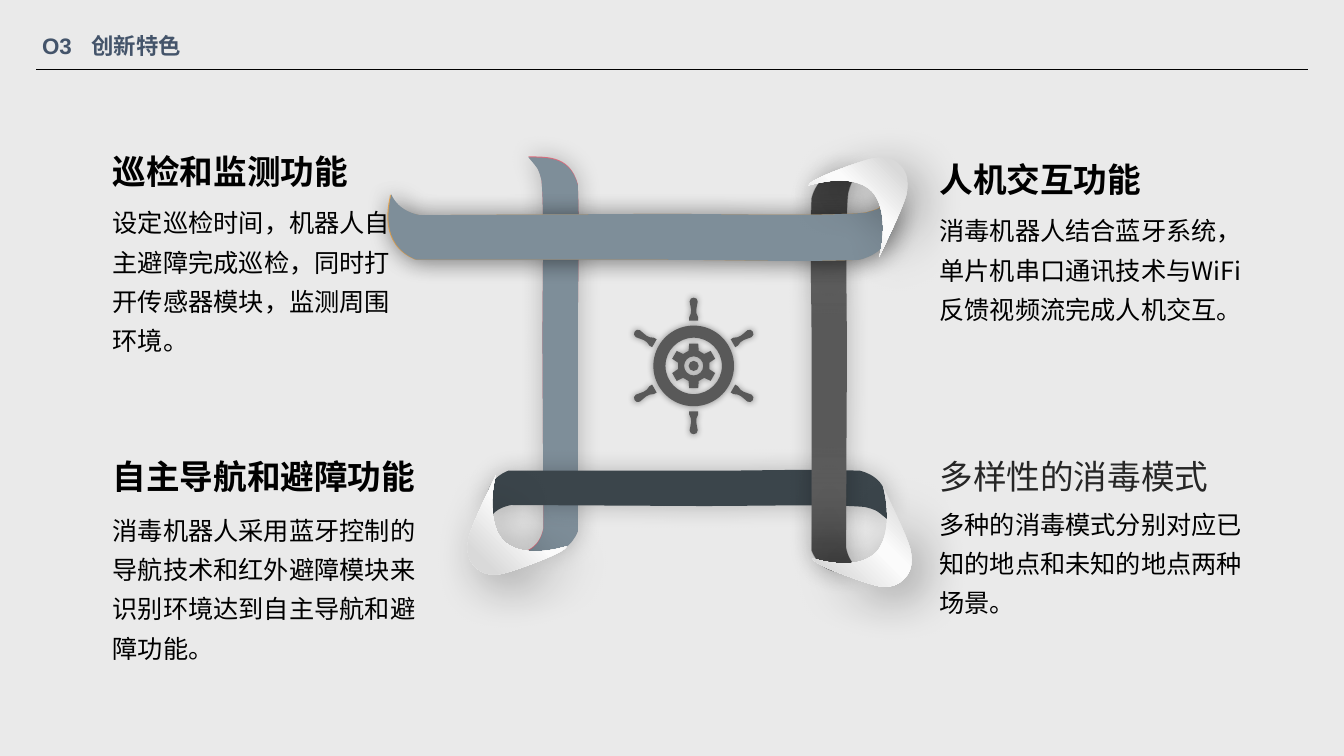
from math import cos, pi, sin

from lxml import etree
from pptx import Presentation
from pptx.dml.color import RGBColor
from pptx.enum.shapes import MSO_CONNECTOR
from pptx.oxml import parse_xml
from pptx.oxml.ns import nsdecls, qn
from pptx.util import Inches, Pt

STRAIGHT = MSO_CONNECTOR.STRAIGHT
PAPER = RGBColor(0xEA, 0xEA, 0xEA)
BLACK = RGBColor(0, 0, 0)
SOFT = RGBColor(0x26, 0x26, 0x26)
NAVY = RGBColor(0x44, 0x54, 0x6A)
STEEL = RGBColor(0x7E, 0x8E, 0x99)
SLATE = RGBColor(0x3B, 0x45, 0x4B)
GRAY = RGBColor(0x59, 0x59, 0x59)
ROSE = RGBColor(0xDC, 0x6C, 0x7C)
AMBER = RGBColor(0xF1, 0xAF, 0x59)

# Gradient stops: position, colour, opacity (percent)
SHEEN = [(10, "D9D9D9", 100), (42, "FBFBFB", 100), (51, "F8F8F8", 100), (87, "D9D9D9", 100)]
SHADE = [(0, "0D0D0D", 40), (12, "0D0D0D", 15), (36, "FBFBFB", 0),
         (69, "F8F8F8", 0), (92, "0D0D0D", 15), (100, "0D0D0D", 32)]

# Shadows: opacity (percent), blur, distance (points), angle
GLOW = (24, 17, 0, 0)
DROP = (32, 17, 3, 20)
DEEP = (40, 18, 0, 0)
CAST = (35, 35, 12, 45)
HALO = (40, 5, 0, 0)

# Outlines: one point is a start or line, three are a curve; (along, across)
RIBBON = [
    [(0, 0)],
    [(.13, .11), (.12, .10), (.23, .13)],
    [(.54, .16), (1.28, .14), (1.86, .14)],
    [(3.74, .15)],
    [(3.96, .11), (3.97, -.05), (3.97, 0)],
    [(3.98, .06), (4.07, .37), (3.77, .49)],
    [(1.85, .49)],
    [(1.27, .49), (.76, .51), (.28, .49)],
    [(-.03, .41), (.01, .15), (0, 0)],
]
CURL = [
    [(0, 0)],
    [(-.03, .15), (0, .23), (.06, .29)],
    [(.12, .35), (.19, .39), (.34, .36)],
    [(.49, .32), (.97, .15), (.97, .09)],
    [(.73, .16), (.48, .17), (.34, .03)],
    [(.21, -.11), (.21, -.40), (.27, -.62)],
    [(.22, -.51), (.04, -.15), (0, 0)],
]

# Wheel parts pointing up from the hub: (side, height)
HANDLE = [[(-.045, .45)], [(-.045, .48)], [(-.01, .54), (-.03, .57), (-.04, .64)],
          [(-.04, .69), (.04, .69), (.04, .64)], [(.03, .57), (.01, .54), (.045, .48)],
          [(.045, .45)]]
TOOTH = [[(-.05, .15)], [(-.045, .22)], [(.045, .22)], [(.05, .15)]]
CIRCLE = [[(0, 1)], [(.55, 1), (1, .55), (1, 0)], [(1, -.55), (.55, -1), (0, -1)],
          [(-.55, -1), (-1, -.55), (-1, 0)], [(-1, .55), (-.55, 1), (0, 1)]]

BLOCKS = [
    ((1.02, 1.45, 2.95), .47, "巡检和监测功能", True, BLACK,
     "设定巡检时间，机器人自主避障完成巡检，同时打开传感器模块，监测周围环境。"),
    ((9.22, 1.53, 3.33), .47, "人机交互功能", True, BLACK,
     "消毒机器人结合蓝牙系统，单片机串口通讯技术与WiFi反馈视频流完成人机交互。"),
    ((1.02, 4.47, 3.33), .5, "自主导航和避障功能", True, BLACK,
     "消毒机器人采用蓝牙控制的导航技术和红外避障模块来识别环境达到自主导航和避障功能。"),
    ((9.22, 4.47, 3.33), .44, "多样性的消毒模式", False, SOFT,
     "多种的消毒模式分别对应已知的地点和未知的地点两种场景。"),
]


def place(path, start, along, across):
    """Lay an outline out from its start along two direction vectors."""
    return [[tuple(Inches(start[i] + u * along[i] + v * across[i]) for i in (0, 1))
             for u, v in part] for part in path]


def bend(shape, loops):
    """Turn the straight segments of curved parts into cubic curves."""
    parts = [part for loop in loops for part in loop[1:]]
    for line, part in zip(list(shape._element.iter(qn("a:lnTo"))), parts):
        if len(part) == 3:
            spots = "".join(f'<a:pt x="{x - shape.left}" y="{y - shape.top}"/>' for x, y in part)
            line.getparent().replace(line, parse_xml(
                f'<a:cubicBezTo {nsdecls("a")}>{spots}</a:cubicBezTo>'))


def draw(slide, loops, shadow=None, color=None, stops=None, angle=0):
    """Draw closed loops as one filled freeform."""
    pen = slide.shapes.build_freeform(*loops[0][0][0], scale=1.0)
    for loop in loops:
        if loop is not loops[0]:
            pen.move_to(*loop[0][0])
        pen.add_line_segments([part[-1] for part in loop[1:]], close=True)
    shape = pen.convert_to_shape()
    bend(shape, loops)
    shape.shadow.inherit = False
    shape.line.fill.background()
    props = shape._element.spPr
    if stops:
        marks = "".join(
            f'<a:gs pos="{pos * 1000}"><a:srgbClr val="{tone}">'
            f'<a:alpha val="{alpha * 1000}"/></a:srgbClr></a:gs>' for pos, tone, alpha in stops)
        props.find(qn("a:ln")).addprevious(parse_xml(
            f'<a:gradFill {nsdecls("a")} rotWithShape="1"><a:gsLst>{marks}</a:gsLst>'
            f'<a:lin ang="{angle * 60000}" scaled="0"/></a:gradFill>'))
    else:
        shape.fill.solid()
        shape.fill.fore_color.rgb = color
    if shadow:
        alpha, blur, dist, turn = shadow
        props.find(qn("a:effectLst")).append(parse_xml(
            f'<a:outerShdw {nsdecls("a")} blurRad="{Pt(blur)}" dist="{Pt(dist)}" '
            f'dir="{turn * 60000}" algn="ctr" rotWithShape="0"><a:srgbClr val="000000">'
            f'<a:alpha val="{alpha * 1000}"/></a:srgbClr></a:outerShdw>'))


def add_frame(slide, x, y):
    """Four woven ribbons with three folded corners."""
    left = (0, .985), (1, 0)
    top = (-1.26, 0), (0, 1.3)
    draw(slide, [place(RIBBON, (x + 1.4, y), *left)], GLOW, ROSE)
    draw(slide, [place(RIBBON, (x + 1.4, y + .01), *left)], None, STEEL)
    draw(slide, [place(RIBBON, (x + 4.97, y + 3.61), (-1, 0), (0, -1))], GLOW, SLATE)
    right = [place(RIBBON, (x + 4.7, y + .14), (0, 1), (-1, 0))]
    draw(slide, right, GLOW, GRAY)
    draw(slide, right, DEEP, stops=SHADE, angle=90)
    draw(slide, [place(RIBBON, (x + 5.03, y + .39), *top)], GLOW, AMBER)
    draw(slide, [place(RIBBON, (x + 5.04, y + .39), *top)], DROP, STEEL)
    for dx, dy, flip, turn in ((.81, 3.78, 1, 1), (5.19, 3.9, -1, 1), (5.15, .38, -1, -1)):
        draw(slide, [place(CURL, (x + dx, y + dy), (flip, 0), (0, turn))],
             CAST, stops=SHEEN, angle=135)


def add_wheel(slide, x, y):
    """Ship's wheel with a gear, centred on x, y."""
    def spin(part, k):
        c, s = cos(k * pi / 3), sin(k * pi / 3)
        return place(part, (x, y), (c, s), (s, -c))

    rings = [place(CIRCLE, (x, y), (r, 0), (0, r)) for r in (.4, .28, .095, .05)]
    gear = [part for k in range(6) for part in spin(TOOTH, k)]
    handles = [spin(HANDLE, k) for k in range(6)]
    draw(slide, rings + [gear] + handles, HALO, GRAY)


def add_text(slide, box, text, size, face, color, bold=False, space=None):
    frame = slide.shapes.add_textbox(*map(Inches, box)).text_frame
    frame.word_wrap = True
    para = frame.paragraphs[0]
    para.text = text
    if space:
        para.line_spacing = space
    font = para.font
    font.size, font.bold, font.name = Pt(size), bold, face
    font.color.rgb = color
    etree.SubElement(font._element, qn("a:ea")).set("typeface", face)


def add_header(slide, x, y):
    rule = slide.shapes.add_connector(
        STRAIGHT, Inches(x + .04), Inches(y + .42), Inches(x + 12.65), Inches(y + .42))
    rule.line.color.rgb = BLACK
    rule.line.width = Pt(.5)
    etree.SubElement(rule._element.spPr, qn("a:effectLst"))
    add_text(slide, (x + .49, y, 3.17, .37), "创新特色", 16, "Arial", NAVY, True)
    add_text(slide, (x, y, .96, .37), "O3", 16, "Arial", NAVY, True)


def add_block(slide, box, drop, title, bold, color, body):
    x, y, width = box
    add_text(slide, (x, y, width, .5), title, 24, "Noto Sans CJK JP", color, bold)
    add_text(slide, (x, y + drop, width, 1.28), body, 18, "Noto Sans CJK SC", BLACK, space=1.3)


def main():
    deck = Presentation()
    deck.slide_width, deck.slide_height = Inches(13.33), Inches(7.5)
    slide = deck.slides.add_slide(deck.slide_layouts[6])
    slide.background.fill.solid()
    slide.background.fill.fore_color.rgb = PAPER
    add_frame(slide, 3.84, 1.55)
    add_wheel(slide, 6.88, 3.63)
    add_header(slide, .32, .27)
    for block in BLOCKS:
        add_block(slide, *block)
    deck.save("out.pptx")


if __name__ == "__main__":
    main()
